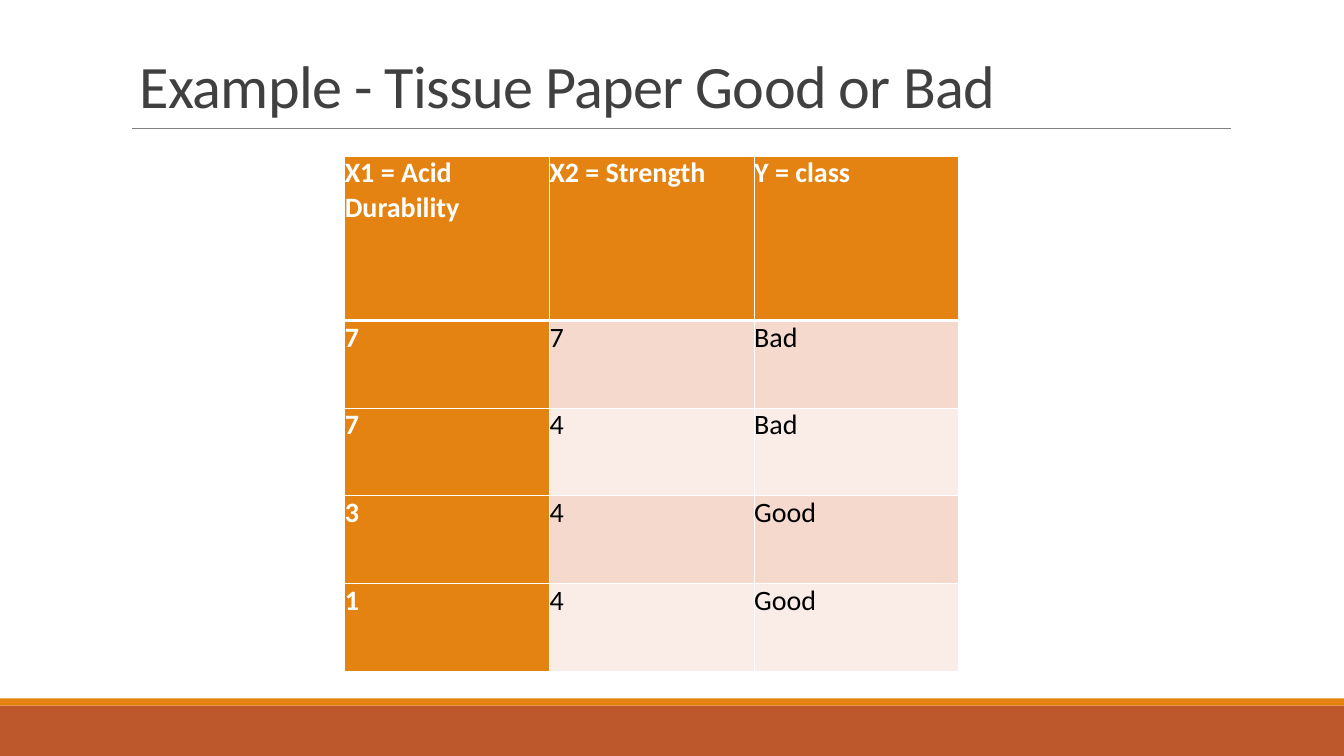
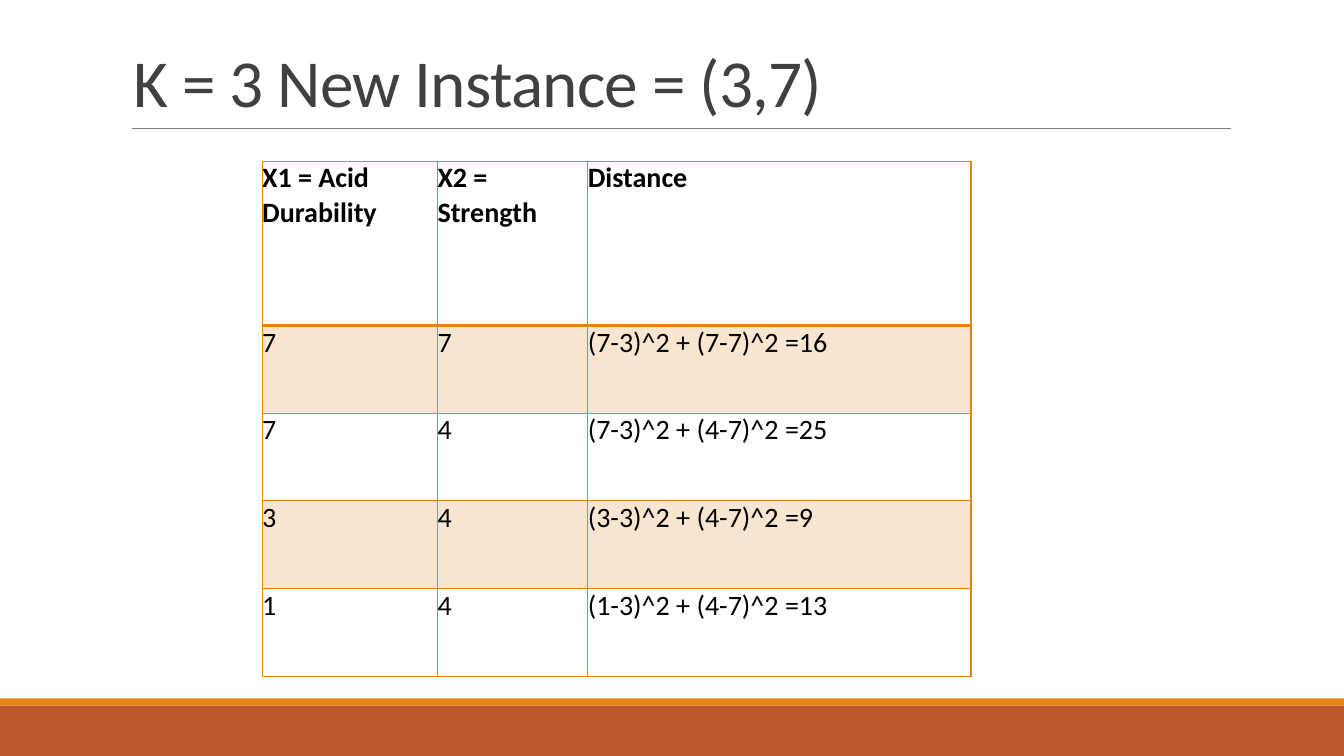
"""Build two slides on nearest-neighbour classification of tissue paper."""
from dataclasses import dataclass
from typing import Optional

from lxml import etree
from pptx import Presentation
from pptx.dml.color import RGBColor
from pptx.enum.shapes import MSO_CONNECTOR, MSO_SHAPE
from pptx.enum.text import MSO_ANCHOR
from pptx.oxml.ns import qn
from pptx.slide import Slide
from pptx.table import _Cell
from pptx.text.text import TextFrame
from pptx.util import Inches, Pt

RECTANGLE = MSO_SHAPE.RECTANGLE
STRAIGHT = MSO_CONNECTOR.STRAIGHT
TOP = MSO_ANCHOR.TOP
BOTTOM = MSO_ANCHOR.BOTTOM

WHITE = RGBColor(0xFF, 0xFF, 0xFF)
BLACK = RGBColor(0x00, 0x00, 0x00)
RUST = RGBColor(0xBD, 0x58, 0x2C)
ORANGE = RGBColor(0xE4, 0x83, 0x12)
PALE_ORANGE = RGBColor(0xFA, 0xE6, 0xD0)
ROSE = RGBColor(0xF5, 0xD9, 0xCC)
PALE_ROSE = RGBColor(0xFA, 0xED, 0xE7)
TITLE_GREY = RGBColor(0x40, 0x40, 0x40)
RULE_GREY = RGBColor(0x80, 0x80, 0x80)

FONT = "Calibri"
SLIDE_WIDTH = 13.33
HEADER_HEIGHT = 1.63
ROW_HEIGHT = 0.87


@dataclass(frozen=True)
class Band:
    top: float
    height: float
    color: RGBColor


@dataclass(frozen=True)
class TableStyle:
    border: RGBColor
    header_rule: float
    header_fill: Optional[RGBColor]
    header_text: RGBColor
    band_fills: tuple[Optional[RGBColor], Optional[RGBColor]]
    header_column: bool


@dataclass(frozen=True)
class TableSlide:
    title: str
    title_left: float
    title_size: float
    table_left: float
    table_top: float
    column_widths: tuple[float, ...]
    rows: tuple[tuple[str, ...], ...]
    style: TableStyle


BANDS = (Band(7, 0.5, RUST), Band(6.93, 0.07, ORANGE))

FILLED = TableStyle(WHITE, 3, ORANGE, WHITE, (ROSE, PALE_ROSE), True)
OUTLINED = TableStyle(ORANGE, 2, None, BLACK, (PALE_ORANGE, None), False)

SLIDES = (
    TableSlide(
        "Example - Tissue Paper Good or Bad", 1.29, 43, 3.42, 1.55, (2.03, 2.03, 2.03),
        (
            ("X1 = Acid Durability", "X2 = Strength", "Y = class"),
            ("7", "7", "Bad"),
            ("7", "4", "Bad"),
            ("3", "4", "Good"),
            ("1", "4", "Good"),
        ),
        FILLED,
    ),
    TableSlide(
        "K = 3 New Instance = (3,7)", 1.23, 48, 2.6, 1.6, (1.74, 1.49, 3.8),
        (
            ("X1 = Acid Durability", "X2 = Strength", "Distance"),
            ("7", "7", "(7-3)^2 + (7-7)^2 =16"),
            ("7", "4", "(7-3)^2 + (4-7)^2 =25"),
            ("3", "4", "(3-3)^2 + (4-7)^2 =9"),
            ("1", "4", "(1-3)^2 + (4-7)^2 =13"),
        ),
        OUTLINED,
    ),
)


def write_text(frame: TextFrame, text: str, *, size: float, color: RGBColor,
               bold: bool = False, line_spacing: Optional[float] = None,
               tracking: float = 0) -> None:
    """Write one formatted paragraph into a text frame."""
    frame.word_wrap = True
    paragraph = frame.paragraphs[0]
    if line_spacing is not None:
        paragraph.line_spacing = line_spacing
    run = paragraph.add_run()
    run.text = text
    run.font.name = FONT
    run.font.size = Pt(size)
    run.font.bold = bold
    run.font.color.rgb = color
    if tracking:
        run._r.get_or_add_rPr().set("spc", str(round(tracking * 100)))


def draw_frame(slide: Slide) -> None:
    """Draw the footer bands and the rule below the title."""
    for band in BANDS:
        shape = slide.shapes.add_shape(
            RECTANGLE, 0, Inches(band.top), Inches(SLIDE_WIDTH), Inches(band.height))
        shape.shadow.inherit = False
        shape.fill.solid()
        shape.fill.fore_color.rgb = band.color
        shape.line.fill.background()
    rule = slide.shapes.add_connector(
        STRAIGHT, Inches(1.31), Inches(1.27), Inches(12.21), Inches(1.27))
    rule.line.color.rgb = RULE_GREY
    rule.line.width = Pt(0.5)
    etree.SubElement(rule._element.spPr, qn("a:effectLst"))


def draw_title(slide: Slide, content: TableSlide) -> None:
    """Draw the title, resting on the bottom of its box."""
    box = slide.shapes.add_textbox(
        Inches(content.title_left), 0, Inches(9), Inches(1.25))
    box.text_frame.vertical_anchor = BOTTOM
    write_text(box.text_frame, content.title, size=content.title_size,
               color=TITLE_GREY, line_spacing=0.85, tracking=-0.5)


def set_borders(cell: _Cell, color: RGBColor, top: float, bottom: float) -> None:
    """Give a cell four solid borders, the side ones one point wide."""
    properties = cell._tc.get_or_add_tcPr()
    edges = (("a:lnL", 1), ("a:lnR", 1), ("a:lnT", top), ("a:lnB", bottom))
    for position, (tag, width) in enumerate(edges):
        line = etree.Element(qn(tag), w=str(Pt(width)))
        fill = etree.SubElement(line, qn("a:solidFill"))
        etree.SubElement(fill, qn("a:srgbClr"), val=str(color))
        properties.insert(position, line)


def format_cell(cell: _Cell, text: str, row: int, column: int, style: TableStyle) -> None:
    """Fill, border and write one cell according to its place in the table."""
    is_header = row == 0 or (style.header_column and column == 0)
    fill = style.header_fill if is_header else style.band_fills[(row - 1) % 2]
    if fill is None:
        cell.fill.background()
    else:
        cell.fill.solid()
        cell.fill.fore_color.rgb = fill
    cell.margin_left = cell.margin_right = cell.margin_top = cell.margin_bottom = 0
    cell.vertical_anchor = TOP
    write_text(cell.text_frame, text, size=20, bold=is_header,
               color=style.header_text if is_header else BLACK)
    set_borders(cell, style.border,
                top=style.header_rule if row == 1 else 1,
                bottom=style.header_rule if row == 0 else 1)


def draw_table(slide: Slide, content: TableSlide) -> None:
    """Draw the table of a slide."""
    heights = [HEADER_HEIGHT] + [ROW_HEIGHT] * (len(content.rows) - 1)
    table = slide.shapes.add_table(
        len(heights), len(content.column_widths),
        Inches(content.table_left), Inches(content.table_top),
        Inches(sum(content.column_widths)), Inches(sum(heights))).table
    table.first_row = False
    table.horz_banding = False
    for column, width in zip(table.columns, content.column_widths):
        column.width = Inches(width)
    for row, height in zip(table.rows, heights):
        row.height = Inches(height)
    for row_index, texts in enumerate(content.rows):
        for column_index, text in enumerate(texts):
            format_cell(table.cell(row_index, column_index), text,
                        row_index, column_index, content.style)


def main() -> None:
    """Build and save the presentation."""
    presentation = Presentation()
    presentation.slide_width = Inches(SLIDE_WIDTH)
    presentation.slide_height = Inches(7.5)
    for content in SLIDES:
        slide = presentation.slides.add_slide(presentation.slide_layouts[6])
        draw_frame(slide)
        draw_title(slide, content)
        draw_table(slide, content)
    presentation.save("out.pptx")


if __name__ == "__main__":
    main()
